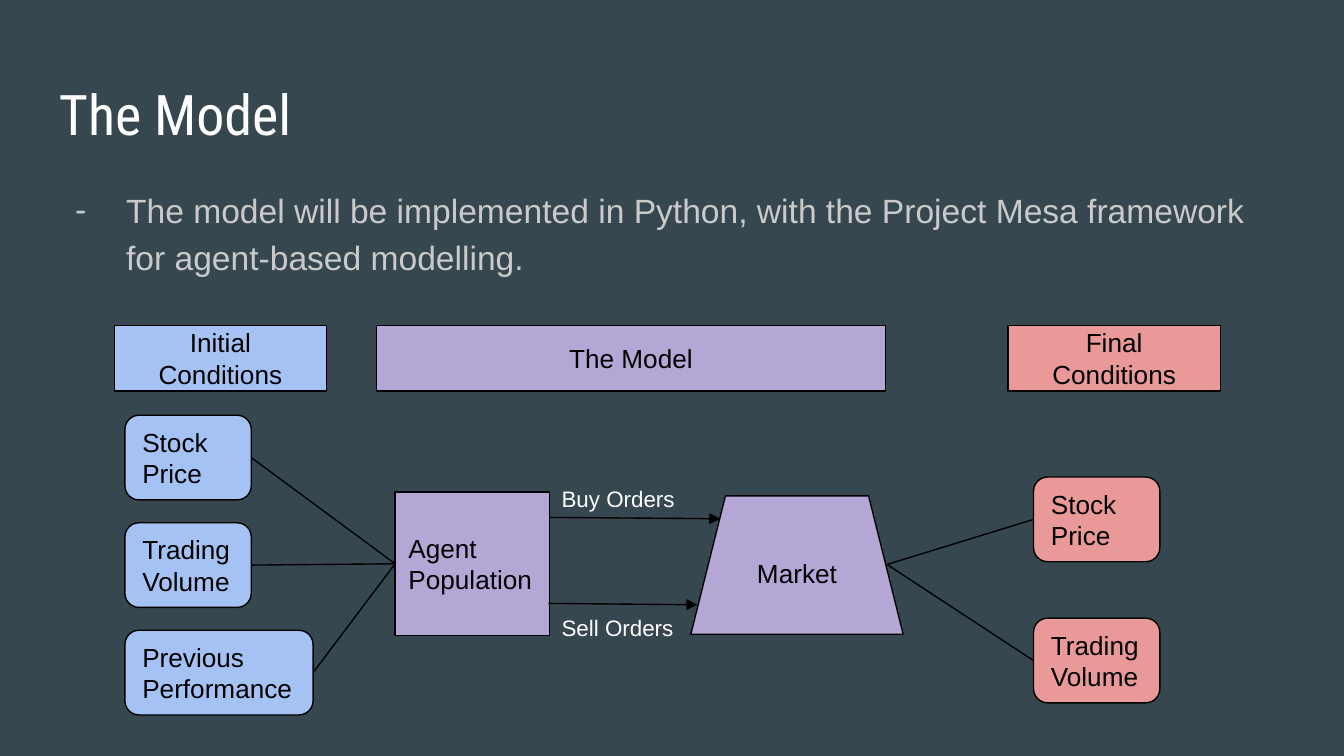
from lxml import etree
from pptx import Presentation, util as u
from pptx.dml.color import RGBColor
from pptx.enum import shapes, text
from pptx.oxml.ns import qn

COLORS = {
    "background": "37474F", "title": "FFFFFF", "body": "CACACA", "ink": "000000",
    "initial": "A4C2F4", "model": "B4A7D6", "final": "EA9999",
}
COLUMNS = 100
SLIDE_WIDTH = u.Inches(10)
SLIDE_HEIGHT = SLIDE_WIDTH * 9 // 16
CELL = SLIDE_WIDTH // COLUMNS  # square grid cell, so rows are as tall as columns are wide

TOP, LEFT, BOTTOM, RIGHT = range(4)
KINDS = shapes.MSO_SHAPE
HEADER_ROW, HEADER_HEIGHT = 24.2, 4.9
NODE_WIDTH, NODE_HEIGHT = 9.4, 6.3
MIDDLE_ROW = 42


def grid(*cells):
    return [round(cell * CELL) for cell in cells]


def color(name):
    return RGBColor.from_string(COLORS[name])


def write(shape, words, size, ink, font="Arial"):
    """Fill a shape's text frame with one paragraph and return that paragraph."""
    frame = shape.text_frame
    frame.word_wrap = True
    frame.margin_left = frame.margin_right = CELL
    frame.margin_top = frame.margin_bottom = CELL
    para = frame.paragraphs[0]
    para.text = words
    para.alignment = text.PP_ALIGN.LEFT
    para.font.size = u.Pt(size)
    para.font.name = font
    para.font.color.rgb = color(ink)
    return para


def add_text(page, words, place, size, ink, font="Arial"):
    box = page.shapes.add_textbox(*grid(*place))
    box.text_frame.vertical_anchor = text.MSO_ANCHOR.TOP
    return write(box, words, size, ink, font)


def add_dash(para):
    """Give a paragraph a hanging dash bullet."""
    props = para._p.get_or_add_pPr()
    props.set("marL", str(u.Inches(0.5)))
    props.set("indent", str(-u.Inches(0.38)))
    tint = etree.SubElement(props, qn("a:buClr"))
    etree.SubElement(tint, qn("a:srgbClr"), val=COLORS["body"])
    etree.SubElement(props, qn("a:buFont"), typeface="Arial")
    etree.SubElement(props, qn("a:buChar"), char="-")


def add_box(page, kind, words, place, fill, centred=False):
    box = page.shapes.add_shape(kind, *grid(*place))
    box.shadow.inherit = False
    box.fill.solid()
    box.fill.fore_color.rgb = color(fill)
    box.line.color.rgb = color("ink")
    box.line.width = u.Pt(0.75)
    box.text_frame.vertical_anchor = text.MSO_ANCHOR.MIDDLE
    para = write(box, words, 14, "ink")
    if centred:
        para.alignment = text.PP_ALIGN.CENTER
    return box


def add_node(page, words, column, row, fill, width=NODE_WIDTH):
    place = (column, row, width, NODE_HEIGHT)
    return add_box(page, KINDS.ROUNDED_RECTANGLE, words, place, fill)


def add_line(page, start=(0, 0), end=(0, 0), begin_at=None, end_at=None, arrow=False):
    """Draw a line between grid points; begin_at and end_at are (shape, side) joints."""
    line = page.shapes.add_connector(shapes.MSO_CONNECTOR.STRAIGHT, *grid(*start, *end))
    if begin_at:
        line.begin_connect(*begin_at)
    if end_at:
        line.end_connect(*end_at)
    line.line.color.rgb = color("ink")
    line.line.width = u.Pt(0.75)
    if arrow:
        etree.SubElement(line.line._get_or_add_ln(), qn("a:tailEnd"),
                         type="triangle", w="med", len="med")
    etree.SubElement(line._element.spPr, qn("a:effectLst"))


def add_headers(page):
    for words, column, width, fill in (
        ("Initial Conditions", 8.5, 15.8, "initial"),
        ("The Model", 28, 37.9, "model"),
        ("Final Conditions", 75, 15.8, "final"),
    ):
        place = (column, HEADER_ROW, width, HEADER_HEIGHT)
        add_box(page, KINDS.RECTANGLE, words, place, fill, centred=True)


def add_flow(page):
    agents = add_box(page, KINDS.RECTANGLE, "Agent Population",
                     (29.4, 36.6, 11.5, 10.7), "model")
    add_box(page, KINDS.TRAPEZOID, "Market", (51.4, 36.9, 15.8, 10.3), "model", centred=True)

    inputs = (("Stock Price", NODE_WIDTH), ("Trading Volume", NODE_WIDTH),
              ("Previous Performance", 14))
    for index, (words, width) in enumerate(inputs):
        node = add_node(page, words, 9.3, 30.9 + 8 * index, "initial", width)
        add_line(page, begin_at=(node, RIGHT), end_at=(agents, LEFT))

    for words, label_row, start, end in (
        ("Buy Orders", 35.1, (40.9, 38.5), (53.6, 38.6)),
        ("Sell Orders", 44.7, (40.8, 44.9), (51.9, 45)),
    ):
        add_line(page, start, end, arrow=True)
        add_text(page, words, (40.8, label_row, 12.3, 2.6), 12, "title")

    for words, row in (("Stock Price", 35.5), ("Trading Volume", 46)):
        node = add_node(page, words, 76.9, row, "final")
        add_line(page, start=(66, MIDDLE_ROW), end_at=(node, LEFT))


def main():
    deck = Presentation()
    deck.slide_width, deck.slide_height = SLIDE_WIDTH, SLIDE_HEIGHT
    page = deck.slides.add_slide(deck.slide_layouts[6])
    page.background.fill.solid()
    page.background.fill.fore_color.rgb = color("background")

    add_text(page, "The Model", (3.4, 4.9, 93.2, 6.3), 30, "title", "Roboto Condensed")
    body = add_text(
        page,
        "The model will be implemented in Python, with the Project Mesa framework "
        "for agent-based modelling.",
        (3.4, 12.7, 93.2, 37.4), 18, "body")
    body.line_spacing = 1.15
    add_dash(body)

    add_headers(page)
    add_flow(page)
    deck.save("out.pptx")


if __name__ == "__main__":
    main()
